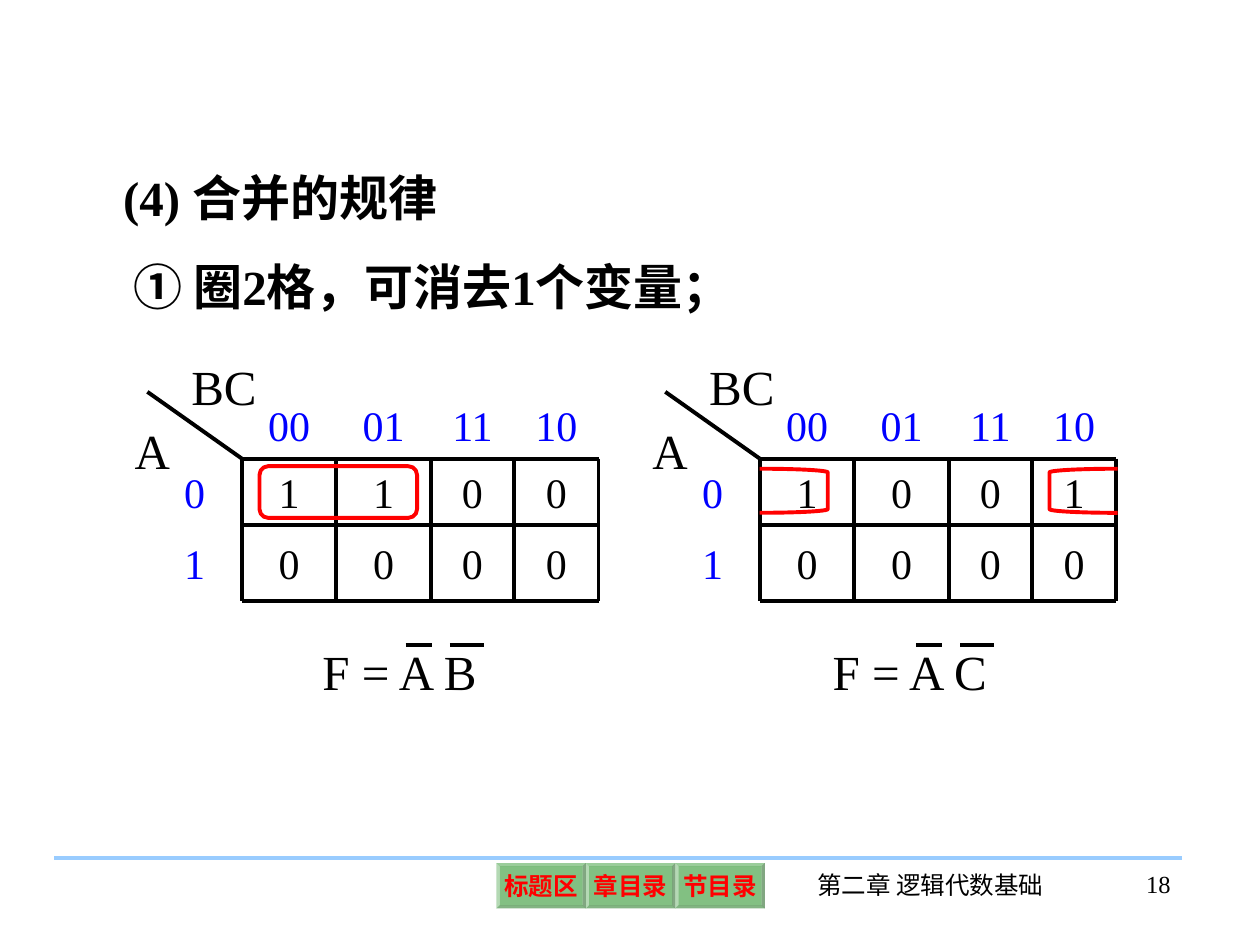
from dataclasses import dataclass

from lxml import etree
from pptx import Presentation
from pptx.dml.color import RGBColor
from pptx.enum import shapes as sh, text as tx
from pptx.oxml import ns
from pptx.shapes.shapetree import GroupShapes
from pptx.util import Inches, Pt

BLACK = RGBColor(0, 0, 0)
BLUE = RGBColor(0, 0, 255)
RED = RGBColor(255, 0, 0)
GREEN = RGBColor(0, 128, 0)
SKY = RGBColor(0x99, 0xCC, 0xFF)
FONT = "Times New Roman"
KIND = sh.MSO_SHAPE
ALIGN = tx.PP_ALIGN

COLS = (0, 0.75, 1.5, 2.25, 2.91, 3.58)
ROWS = (3.11, 3.64, 4.17, 4.77)
CODES = ("00", "01", "11", "10")


@dataclass
class Label:
    words: str
    left: float
    top: float
    width: float
    height: float
    size: int = 28
    color: RGBColor = BLACK
    bold: bool = False
    align: ALIGN = ALIGN.LEFT


@dataclass
class Map:
    left: float
    cells: tuple[str, str]


@dataclass
class Result:
    left: float
    words: str


@dataclass
class Loop:
    kind: KIND
    left: float
    top: float
    width: float
    height: float


def style(frame: tx, item: Label) -> None:
    para = frame.paragraphs[0]
    para.text = item.words
    para.alignment = item.align
    font = para.font
    font.name, font.size, font.bold = FONT, Pt(item.size), item.bold
    font.color.rgb = item.color


def inset(frame: tx, gap: float) -> None:
    frame.margin_left = frame.margin_right = Inches(gap)
    frame.margin_top = frame.margin_bottom = Inches(gap)
    frame.vertical_anchor = tx.MSO_ANCHOR.MIDDLE


def write(tree: GroupShapes, item: Label) -> tx:
    box = tree.add_textbox(Inches(item.left), Inches(item.top),
                           Inches(item.width), Inches(item.height))
    frame = box.text_frame
    frame.word_wrap = True
    style(frame, item)
    return frame


def rule(tree: GroupShapes, x1: float, y1: float, x2: float, y2: float,
         color: RGBColor = BLACK) -> None:
    line = tree.add_connector(sh.MSO_CONNECTOR.STRAIGHT, Inches(x1), Inches(y1),
                              Inches(x2), Inches(y2))
    line.line.color.rgb = color
    line.line.width = Pt(2.25)
    etree.SubElement(line._element.spPr, ns.qn("a:effectLst"))


def grid(tree: GroupShapes, item: Map) -> None:
    xs = [item.left + col for col in COLS]
    table = [("", *CODES)] + [(str(i), *row) for i, row in enumerate(item.cells)]
    for r, row in enumerate(table):
        for c, word in enumerate(row):
            if word:
                color = BLACK if r and c else BLUE
                frame = write(tree, Label(
                    word, xs[c], ROWS[r], xs[c + 1] - xs[c], ROWS[r + 1] - ROWS[r],
                    24, color, align=ALIGN.CENTER))
                inset(frame, 0.02)
    rule(tree, xs[0], ROWS[0], xs[1], ROWS[1])
    for x in xs[1:]:
        rule(tree, x, ROWS[1], x, ROWS[-1])
    for y in ROWS[1:]:
        rule(tree, xs[1], y, xs[-1], y)
    write(tree, Label("A", item.left - 0.2, 3.29, 0.45, 0.57))
    write(tree, Label("BC", item.left + 0.25, 2.78, 0.75, 0.57))


def answer(tree: GroupShapes, item: Result) -> None:
    write(tree, Label(item.words, item.left, 5.04, 1.69, 0.57))
    for start, end in ((0.76, 0.97), (1.11, 1.38)):
        rule(tree, item.left + start, 5.12, item.left + end, 5.12)


def circle(tree: GroupShapes, item: Loop) -> None:
    loop = tree.add_shape(item.kind, Inches(item.left), Inches(item.top),
                          Inches(item.width), Inches(item.height))
    loop.shadow.inherit = False
    loop.fill.background()
    loop.line.color.rgb = RED
    loop.line.width = Pt(2.25)


def button(tree: GroupShapes, item: Label) -> None:
    key = tree.add_shape(KIND.BEVEL, Inches(item.left), Inches(item.top),
                         Inches(item.width), Inches(item.height))
    key.shadow.inherit = False
    key.adjustments[0] = 0.07
    key.fill.solid()
    key.fill.fore_color.rgb = GREEN
    tint = key._element.spPr.find(ns.qn("a:solidFill"))[0]
    etree.SubElement(tint, ns.qn("a:alpha"), val="49000")
    key.line.fill.background()
    frame = key.text_frame
    frame.word_wrap = False
    inset(frame, 0.04)
    style(frame, item)


def main() -> None:
    deck = Presentation()
    deck.slide_width, deck.slide_height = Inches(10), Inches(7.5)
    tree = deck.slides.add_slide(deck.slide_layouts[6]).shapes

    rule(tree, 0.43, 6.81, 9.38, 6.81, SKY)
    for item in (
        Label("第二章 逻辑代数基础", 6.25, 6.86, 2.27, 0.5, 14, align=ALIGN.CENTER),
        Label("18", 8.53, 6.85, 0.86, 0.5, 14, align=ALIGN.RIGHT),
        Label("① 圈2格，可消去1个变量；", 0.96, 1.99, 8.28, 0.57, bold=True),
        Label("(4) 合并的规律", 0.88, 1.28, 4.04, 0.57, bold=True),
    ):
        write(tree, item)

    for item in (Map(1.17, ("1100", "0000")), Map(5.28, ("1001", "0000"))):
        grid(tree.add_group_shape().shapes, item)
    for item in (
        Loop(KIND.ROUNDED_RECTANGLE, 2.06, 3.7, 1.25, 0.41),
        Loop(KIND.RIGHT_BRACKET, 6.03, 3.72, 0.54, 0.35),
        Loop(KIND.LEFT_BRACKET, 8.33, 3.72, 0.54, 0.35),
    ):
        circle(tree, item)
    for item in (Result(2.46, "F = A B"), Result(6.51, "F = A C")):
        answer(tree.add_group_shape().shapes, item)

    for i, word in enumerate(("标题区", "章目录", "节目录")):
        button(tree, Label(word, 3.94 + 0.71 * i, 6.85, 0.71, 0.36, 14, RED, True,
                           ALIGN.CENTER))
    deck.save("out.pptx")


if __name__ == "__main__":
    main()
